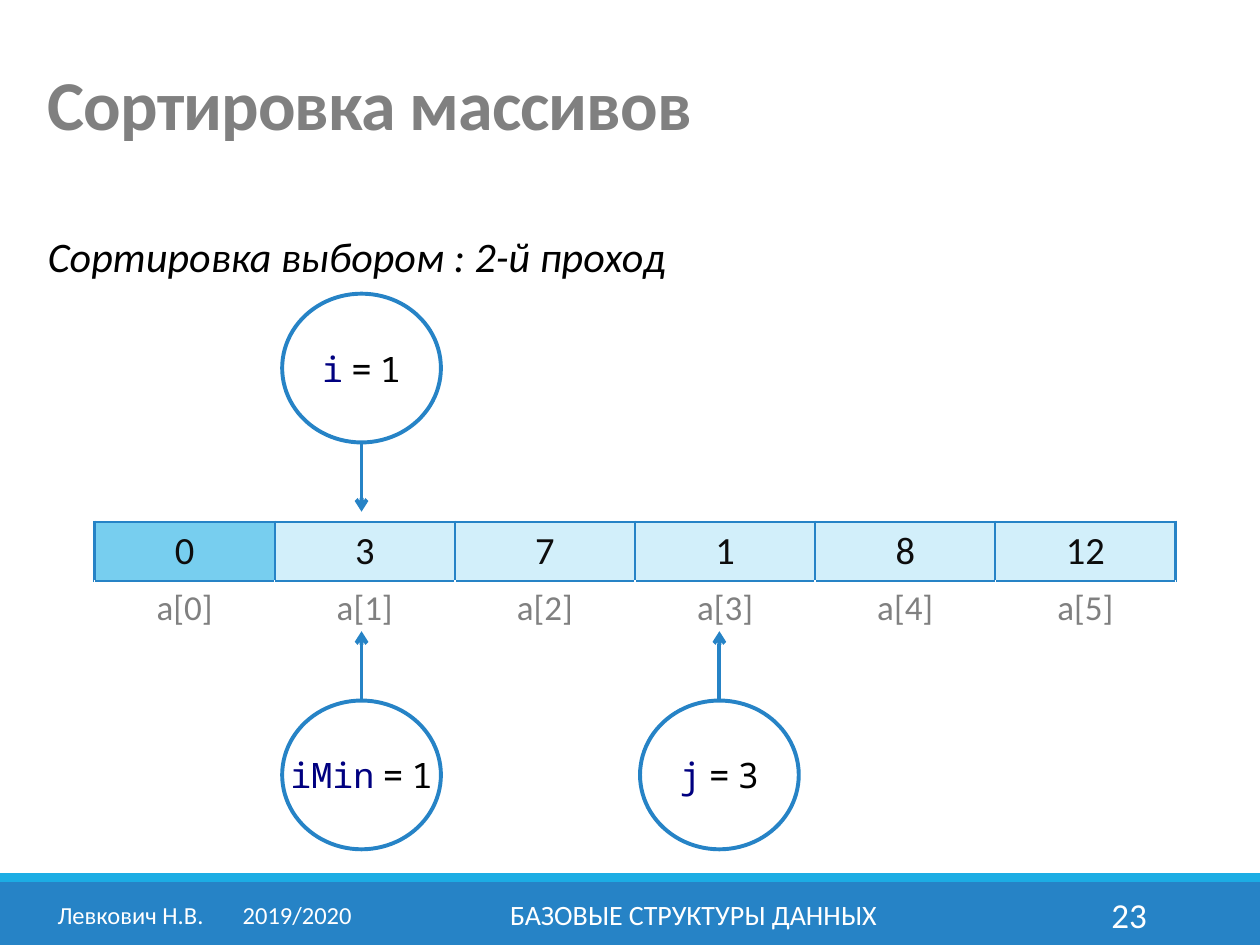
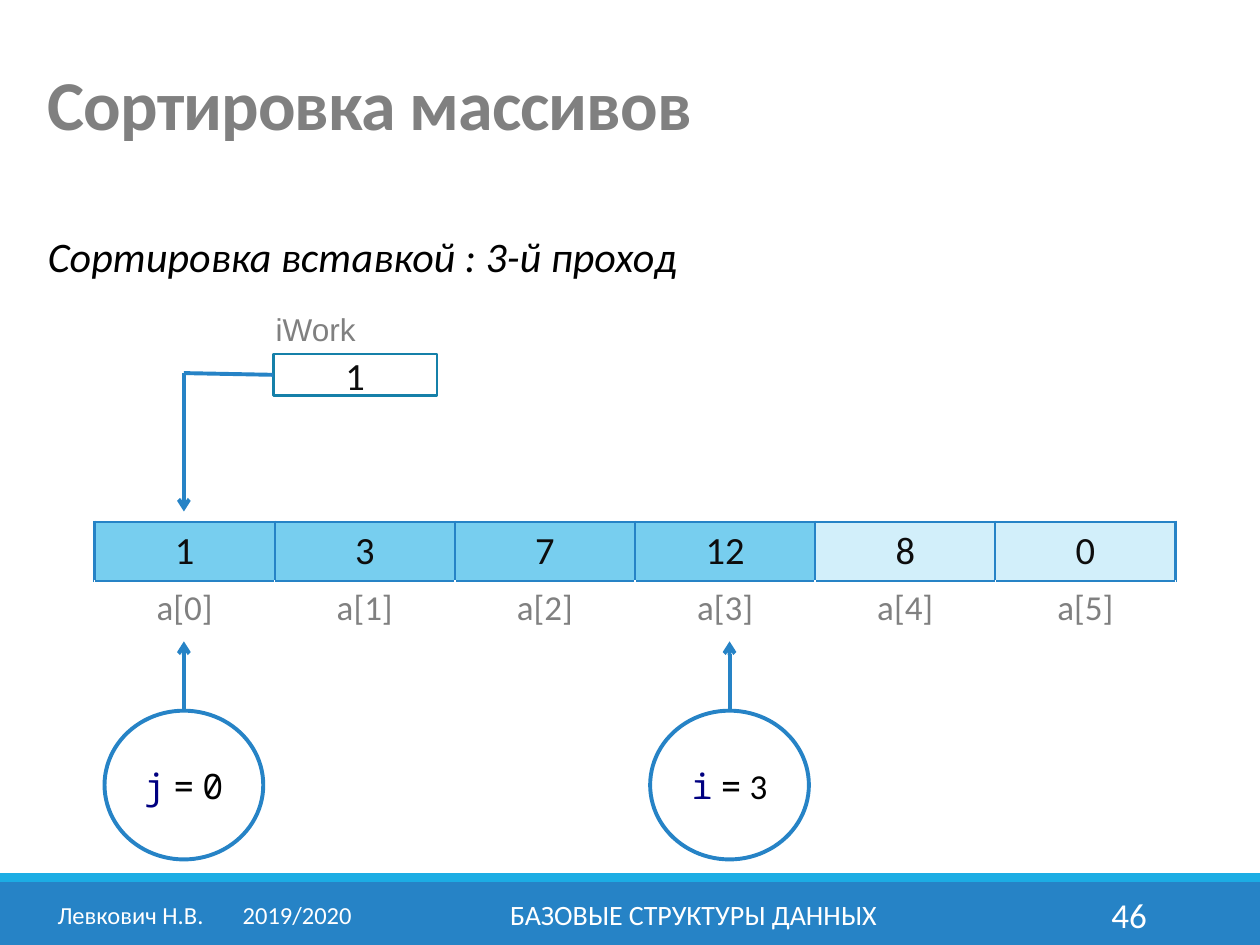
import pptx
import pptx.util
import pptx.dml.color
import pptx.enum.shapes
import pptx.enum.text
import pptx.oxml
import pptx.oxml.ns

Pt = pptx.util.Pt
SHAPE = pptx.enum.shapes.MSO_SHAPE
ALIGN = pptx.enum.text.PP_ALIGN
ANCHOR = pptx.enum.text.MSO_ANCHOR

COLORS = {
    "band": "2683C6", "strip": "1CADE4", "box": "1580A9", "sorted": "77CEEF",
    "unsorted": "D2EFFA", "white": "FFFFFF", "black": "000000",
    "value": "0D0D0D", "gray": "808080", "variable": "000080",
}
SANS, MONO, ARIAL = "Calibri", "Noto Sans Mono", "Arial"

TITLE = "Сортировка массивов"
AUTHOR = "Левкович Н.В.\t2019/2020"
COURSE = "БАЗОВЫЕ СТРУКТУРЫ ДАННЫХ"

# Pointer: variable, value, font of the value, centre x, circle top, place
PASSES = [
    {
        "number": "23",
        "subtitle": "Сортировка выбором : 2-й проход",
        "values": [0, 3, 7, 1, 8, 12],
        "sorted": 1,
        "pointers": [
            ("i", "1", MONO, 206.6, 167.8, "above"),
            ("iMin", "1", MONO, 206.6, 400.3, "below"),
            ("j", "3", MONO, 411.1, 400.3, "below"),
        ],
    },
    {
        "number": "46",
        "subtitle": "Сортировка вставкой : 3-й проход",
        "values": [1, 3, 7, 12, 8, 0],
        "sorted": 4,
        "pointers": [
            ("i", "3", SANS, 416.9, 406.1, "below"),
            ("j", "0", MONO, 105.1, 406.1, "below"),
        ],
        "work": ("iWork", "1"),
    },
]

TABLE_X, TABLE_Y, COL_W, ROW_H = 54, 298.1, 102.96, (34, 31)
CIRCLE_W, CIRCLE_H, ARROW = 90.7, 85, 39.6
WORK_X, WORK_Y, WORK_W, WORK_H = 156.2, 202.3, 93.6, 23.8
ELBOW_X, ELBOW_Y, ARROW_END = 105.1, 213.2, 292.3


def rgb(name):
    return pptx.dml.color.RGBColor.from_string(COLORS[name])


def add_run(p, text, size, color, font=SANS, bold=False, italic=False):
    r = p.add_run()
    r.text = text
    r.font.size, r.font.name = Pt(size), font
    r.font.bold, r.font.italic = bold, italic
    r.font.color.rgb = rgb(color)
    return r


def add_text(s, box, text, size, color, align=ALIGN.LEFT, anchor=ANCHOR.MIDDLE, **style):
    tf = s.shapes.add_textbox(*map(Pt, box)).text_frame
    tf.word_wrap = True
    tf.vertical_anchor = anchor
    p = tf.paragraphs[0]
    p.alignment = align
    return p, add_run(p, text, size, color, **style)


def add_shape(s, kind, box, fill=None, line=None, width=0):
    sp = s.shapes.add_shape(kind, *map(Pt, box))
    sp.shadow.inherit = False
    if fill:
        sp.fill.solid()
        sp.fill.fore_color.rgb = rgb(fill)
    else:
        sp.fill.background()
    if line:
        sp.line.color.rgb = rgb(line)
        sp.line.width = Pt(width)
    else:
        sp.line.fill.background()
    sp.text_frame.vertical_anchor = ANCHOR.MIDDLE
    sp.text_frame.paragraphs[0].alignment = ALIGN.CENTER
    return sp


def add_line(s, x1, y1, x2, y2, arrow=True):
    line = s.shapes.add_connector(
        pptx.enum.shapes.MSO_CONNECTOR.STRAIGHT, *map(Pt, (x1, y1, x2, y2)))
    line.line.color.rgb = rgb("band")
    line.line.width = Pt(2.25)
    if arrow:
        ln = line.line._get_or_add_ln()
        ln.append(pptx.oxml.parse_xml(
            f'<a:tailEnd {pptx.oxml.ns.nsdecls("a")} type="arrow"/>'))
    line._element.spPr.append(pptx.oxml.parse_xml(
        f'<a:effectLst {pptx.oxml.ns.nsdecls("a")}/>'))
    return line


def set_cell(cell, text, size, color, fill, borders):
    """Write one cell; borders gives (colour, width) for left, right, top, bottom."""
    cell.fill.solid()
    cell.fill.fore_color.rgb = rgb(fill)
    tcPr = cell._tc.get_or_add_tcPr()
    for i, (side, (line, width)) in enumerate(zip("LRTB", borders)):
        tcPr.insert(i, pptx.oxml.parse_xml(
            f'<a:ln{side} {pptx.oxml.ns.nsdecls("a")} w="{Pt(width)}"><a:solidFill>'
            f'<a:srgbClr val="{COLORS[line]}"/></a:solidFill></a:ln{side}>'))
    p = cell.text_frame.paragraphs[0]
    p.alignment = ALIGN.CENTER
    add_run(p, text, size, color)


def add_array(s, values, sorted_count):
    n = len(values)
    table = s.shapes.add_table(2, n, Pt(TABLE_X), Pt(TABLE_Y),
                               Pt(COL_W * n), Pt(sum(ROW_H))).table
    table.first_row = table.horz_banding = False
    for row, height in zip(table.rows, ROW_H):
        row.height = Pt(height)
    blue, white = ("band", 1.5), ("white", 1)
    for i, value in enumerate(values):
        table.columns[i].width = Pt(COL_W)
        set_cell(table.cell(0, i), str(value), 22, "value",
                 "sorted" if i < sorted_count else "unsorted", [blue] * 4)
        index = table.cell(1, i)
        set_cell(index, f"a[{i}]", 20, "gray", "white", [white, white, blue, white])
        index.vertical_anchor = ANCHOR.MIDDLE


def add_pointer(s, name, value, value_font, x, top, place):
    """Draw a circle with an assignment and an arrow towards the array."""
    circle = add_shape(s, SHAPE.OVAL, (x - CIRCLE_W / 2, top, CIRCLE_W, CIRCLE_H),
                       line="band", width=2.25)
    tf = circle.text_frame
    tf.word_wrap = False
    p = tf.paragraphs[0]
    add_run(p, name, 20, "variable", MONO)
    for text, font in ((" ", SANS), ("=", MONO), (" ", SANS), (value, value_font)):
        add_run(p, text, 20, "black", font)
    if place == "above":
        bottom = top + CIRCLE_H
        add_line(s, x, bottom, x, bottom + ARROW)
    else:
        add_line(s, x, top, x, top - ARROW).begin_connect(circle, 0)


def add_work(s, name, value):
    """Draw the work variable and its path to the first element."""
    box = add_shape(s, SHAPE.RECTANGLE, (WORK_X, WORK_Y, WORK_W, WORK_H),
                    line="box", width=1.5)
    add_run(box.text_frame.paragraphs[0], value, 22, "value")
    add_text(s, (150.5, 173.5, 62.6, 29), name, 18, "gray",
             anchor=ANCHOR.TOP, font=ARIAL)
    add_line(s, ELBOW_X, ELBOW_Y, ELBOW_X, ARROW_END)
    link = add_line(s, WORK_X, WORK_Y + WORK_H / 2, ELBOW_X, ELBOW_Y, arrow=False)
    link.begin_connect(box, 1)


def add_frame(s, subtitle, number):
    """Add the bands, footer, title and subtitle that every slide has."""
    add_shape(s, SHAPE.RECTANGLE, (0, 504, 720, 36), fill="band")
    add_shape(s, SHAPE.RECTANGLE, (0, 499, 720, 5), fill="strip")

    p, r = add_text(s, (20.2, 20.9, 680.4, 82.8), TITLE, 40, "gray", bold=True)
    p.line_spacing = 0.85
    r.font._element.set("spc", "-50")
    p, r = add_text(s, (20.2, 128.2, 663, 36), subtitle, 24, "black",
                    anchor=ANCHOR.TOP, italic=True)
    p.space_after = Pt(6)

    p, r = add_text(s, (23, 508.3, 188, 28.8), AUTHOR, 14, "white", ALIGN.CENTER)
    p._p.get_or_add_pPr().append(pptx.oxml.parse_xml(
        f'<a:tabLst {pptx.oxml.ns.nsdecls("a")}>'
        f'<a:tab pos="{Pt(105.8)}" algn="l"/></a:tabLst>'))
    add_text(s, (217.4, 508.3, 357.8, 28.8), COURSE, 16, "white", ALIGN.CENTER)
    add_text(s, (584.6, 508.3, 77.8, 28.8), number, 20, "white", ALIGN.RIGHT)


def main():
    prs = pptx.Presentation()
    prs.slide_width, prs.slide_height = Pt(720), Pt(540)
    for step in PASSES:
        s = prs.slides.add_slide(prs.slide_layouts[6])
        add_frame(s, step["subtitle"], step["number"])
        add_array(s, step["values"], step["sorted"])
        for pointer in step["pointers"]:
            add_pointer(s, *pointer)
        if "work" in step:
            add_work(s, *step["work"])
    prs.save("out.pptx")


if __name__ == "__main__":
    main()
